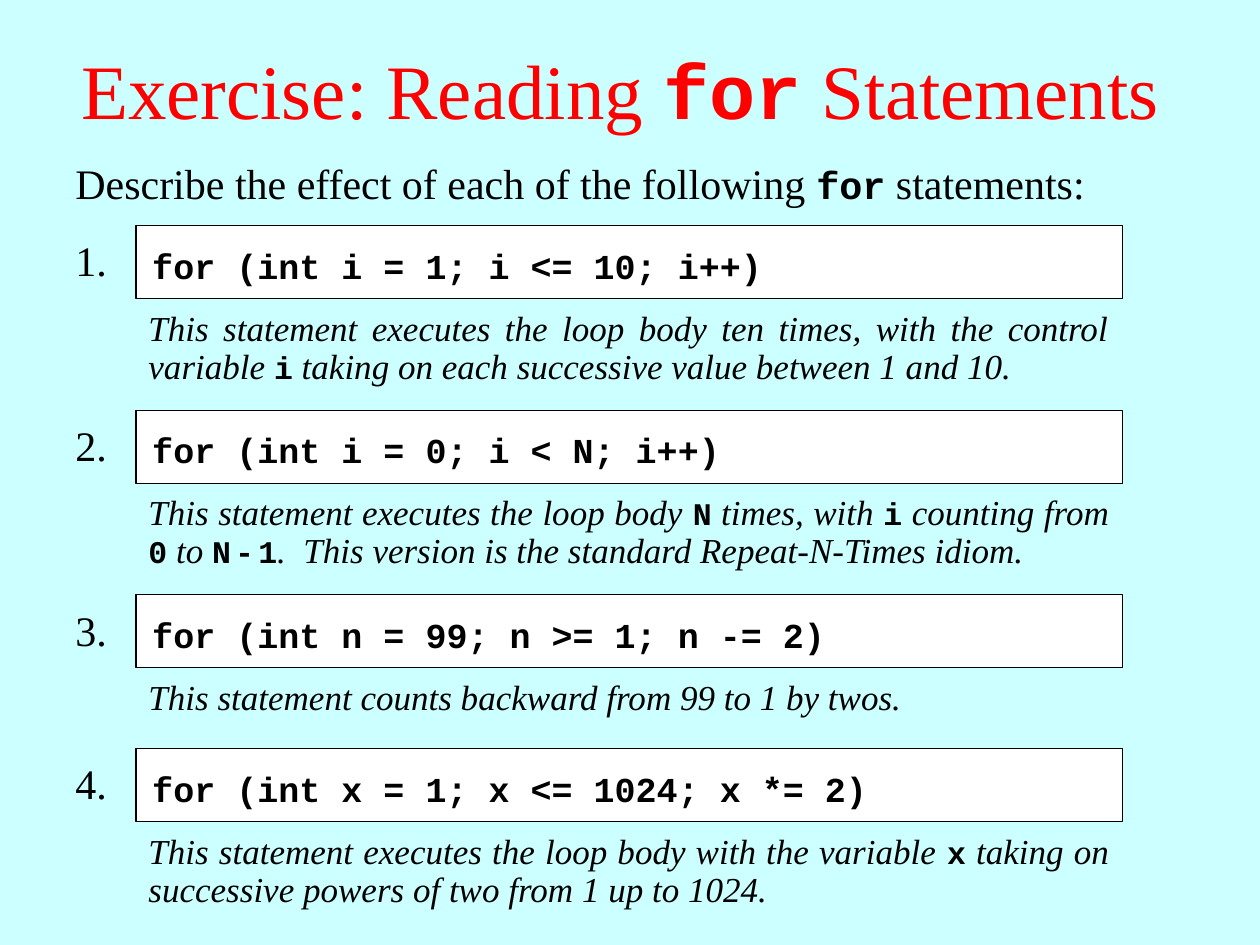
"""Build the exercise slide on reading for statements."""
from dataclasses import dataclass

from pptx import Presentation
from pptx.dml.color import RGBColor
from pptx.enum.shapes import MSO_SHAPE
from pptx.enum.text import MSO_ANCHOR, MSO_AUTO_SIZE, PP_ALIGN
from pptx.util import Inches, Pt


@dataclass(frozen=True)
class Style:
    size: int
    font: str = "Times New Roman"
    color: str = "000000"
    bold: bool = False
    italic: bool = False


@dataclass(frozen=True)
class Theme:
    background: str = "CCFFFF"
    panel: str = "FFFFFF"
    border: str = "000000"
    title: Style = Style(44, color="FF0000")
    title_code: Style = Style(44, "Courier New", "FF0000", bold=True)
    body: Style = Style(24)
    body_code: Style = Style(22, "Courier New", bold=True)
    code: Style = Style(20, "Courier New", bold=True)
    note: Style = Style(20, italic=True)
    note_code: Style = Style(18, "Courier New", bold=True)
    thin_space: Style = Style(4, "Courier New", bold=True)


THEME = Theme()

TITLE = [("Exercise: Reading ", THEME.title), ("for", THEME.title_code),
         (" Statements ", THEME.title)]
INTRO = [("Describe the effect of each of the following ", THEME.body),
         ("for", THEME.body_code), (" statements: ", THEME.body)]
EXERCISES = [
    ("for (int i = 1; i <= 10; i++)", 2, [
        ("This statement executes the loop body ten times, with the control variable ", THEME.note),
        ("i", THEME.note_code),
        (" taking on each successive value between 1 and 10.", THEME.note)]),
    ("for (int i = 0; i < N; i++)", 2, [
        ("This statement executes the loop body ", THEME.note),
        ("N", THEME.note_code),
        (" times, with ", THEME.note),
        ("i", THEME.note_code),
        (" counting from ", THEME.note),
        ("0", THEME.note_code),
        (" to ", THEME.note),
        ("N", THEME.note_code),
        (" ", THEME.thin_space),
        ("-", THEME.note_code),
        (" ", THEME.thin_space),
        ("1", THEME.note_code),
        (".  This version is the standard Repeat-N-Times idiom.", THEME.note)]),
    ("for (int n = 99; n >= 1; n -= 2)", 1, [
        ("This statement counts backward from 99 to 1 by twos.", THEME.note)]),
    ("for (int x = 1; x <= 1024; x *= 2)", 2, [
        ("This statement executes the loop body with the variable ", THEME.note),
        ("x", THEME.note_code),
        (" taking on successive powers of two from 1 up to 1024.", THEME.note)]),
]

FIRST_TOP = 1.79
NOTE_HEIGHT = {1: 0.4, 2: 0.7}
STEP = {1: 1.22, 2: 1.465}


def add_runs(para, runs):
    for text, style in runs:
        span = para.add_run()
        span.text = text
        span.font.size = Pt(style.size)
        span.font.name = style.font
        span.font.bold = style.bold
        span.font.italic = style.italic
        span.font.color.rgb = RGBColor.from_string(style.color)


def add_text(shapes, left, top, width, height, runs, justified=True):
    box = shapes.add_textbox(Inches(left), Inches(top), Inches(width), Inches(height))
    frame = box.text_frame
    frame.word_wrap = True
    frame.auto_size = MSO_AUTO_SIZE.SHAPE_TO_FIT_TEXT
    para = frame.paragraphs[0]
    if justified:
        para.alignment = PP_ALIGN.JUSTIFY
        para.line_spacing = 0.9
    add_runs(para, runs)


def add_panel(shapes, left, top, width, height):
    panel = shapes.add_shape(MSO_SHAPE.RECTANGLE, Inches(left), Inches(top),
                             Inches(width), Inches(height))
    panel.shadow.inherit = False
    panel.fill.solid()
    panel.fill.fore_color.rgb = RGBColor.from_string(THEME.panel)
    panel.line.color.rgb = RGBColor.from_string(THEME.border)
    panel.line.width = Pt(0.74)


def add_title(page):
    title = page.shapes.title
    title.left, title.top = Inches(0), Inches(0.08)
    title.width, title.height = Inches(10), Inches(1.25)
    frame = title.text_frame
    frame.word_wrap = True
    frame.auto_size = MSO_AUTO_SIZE.NONE
    frame.vertical_anchor = MSO_ANCHOR.MIDDLE
    para = frame.paragraphs[0]
    para.alignment = PP_ALIGN.CENTER
    add_runs(para, TITLE)


def add_exercise(page, number, top, code, lines, note):
    add_text(page.shapes, 1.08, top + 0.63, 7.82, NOTE_HEIGHT[lines], note)
    group = page.shapes.add_group_shape().shapes
    add_panel(group, 1.08, top, 7.83, 0.58)
    add_text(group, 1.11, top + 0.1, 7.72, 0.44, [(code, THEME.code)], justified=False)
    add_text(group, 0.5, top + 0.07, 0.5, 0.46, [(f"{number}.", THEME.body)])


def main():
    deck = Presentation()
    deck.slide_width, deck.slide_height = Inches(10), Inches(7.5)
    page = deck.slides.add_slide(deck.slide_layouts[5])
    page.background.fill.solid()
    page.background.fill.fore_color.rgb = RGBColor.from_string(THEME.background)
    add_title(page)
    add_text(page.shapes, 0.5, 1.25, 9, 0.46, INTRO)
    top = FIRST_TOP
    for number, (code, lines, note) in enumerate(EXERCISES, 1):
        add_exercise(page, number, top, code, lines, note)
        top += STEP[lines]
    deck.save("out.pptx")


main()
